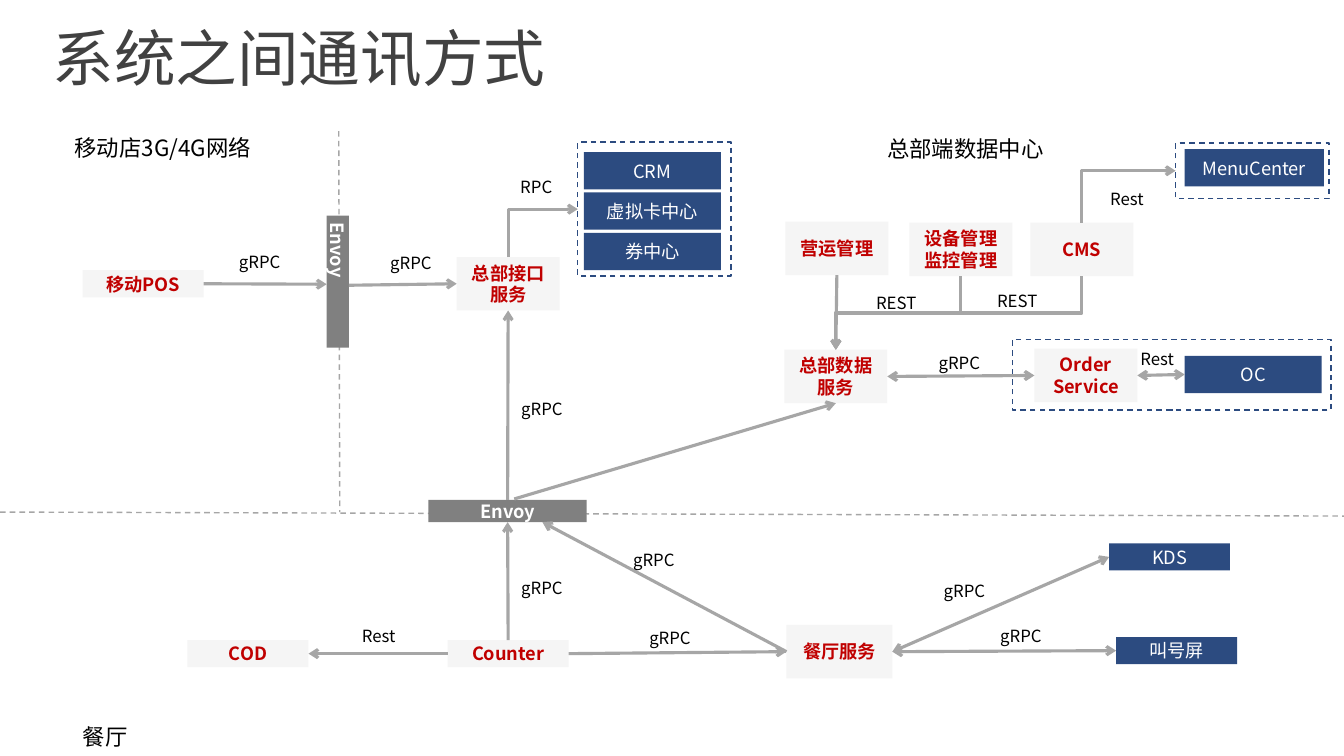
from lxml import etree
from pptx import Presentation
from pptx.dml.color import RGBColor
from pptx.enum.dml import MSO_LINE
from pptx.enum.shapes import MSO_CONNECTOR, MSO_SHAPE
from pptx.enum.text import MSO_ANCHOR, PP_ALIGN
from pptx.oxml.ns import qn
from pptx.util import Pt

PX = 9144  # 100 px to the inch
FONT = "Noto Sans CJK SC"
RECT, DASH = MSO_SHAPE.RECTANGLE, MSO_LINE.DASH
STRAIGHT, ELBOW = MSO_CONNECTOR.STRAIGHT, MSO_CONNECTOR.ELBOW
MIDDLE, TOP_ANCHOR = MSO_ANCHOR.MIDDLE, MSO_ANCHOR.TOP
LEFT_ALIGN, CENTER = PP_ALIGN.LEFT, PP_ALIGN.CENTER
TOP, LEFT, BOTTOM, RIGHT = range(4)
GRAY, NAVY = "A6A6A6", "2C4B80"

TITLE = "系统之间通讯方式"
DIVIDERS = [((0, 508), (1333, 512)), ((336, 130), (337, 508))]
ZONES = [("餐厅", 69, 710, 72), ("移动店3G/4G网络", 61, 126, 208),
         ("总部端数据中心", 867, 127, 184)]

# style: fill, text colour, bold
STYLES = {"service": ("F5F5F5", "C00000", True),
          "system": (NAVY, "FFFFFF", False),
          "proxy": ("808080", "FFFFFF", True)}
# key: text, style, left, top, width, height
NODES = {
    "restaurant": ("餐厅服务", "service", 780, 620, 105, 53),
    "menu": ("MenuCenter", "system", 1175, 148, 138, 37),
    "oc": ("OC", "system", 1175, 353, 136, 37),
    "store proxy": ("Envoy", "proxy", 324, 214, 22, 131),
    "hq proxy": ("Envoy", "proxy", 425, 496, 157, 22),
    "data": ("总部数据服务", "service", 778, 347, 102, 53),
    "operations": ("营运管理", "service", 779, 220, 102, 53),
    "devices": ("设备管理\n监控管理", "service", 902, 221, 102, 53),
    "cms": ("CMS", "service", 1022, 221, 102, 53),
    "kds": ("KDS", "system", 1100, 539, 120, 27),
    "queue": ("叫号屏", "system", 1107, 632, 120, 27),
    "api": ("总部接口服务", "service", 453, 255, 102, 53),
    "counter": ("Counter", "service", 444, 635, 120, 27),
    "pos": ("移动POS", "service", 82, 268, 120, 27),
    "order": ("Order Service", "service", 1026, 346, 102, 53),
    "cod": ("COD", "service", 186, 635, 120, 27),
}
STACK = ["CRM", "虚拟卡中心", "券中心"]
STACK_LEFT, STACK_TOP, STACK_STEP, STACK_W, STACK_H = 579, 151, 40, 136, 37
GROUPS = {"crm group": (573, 141, 152, 133), "menu group": (1166, 142, 152, 55),
          "order group": (1004, 337, 316, 70)}

# ends are (node, side) or a free point; True means arrows at both ends
LINKS = [
    (("operations", BOTTOM), ("data", TOP), False),
    (("pos", RIGHT), (324, 282), False),
    ((346, 283), ("api", LEFT), False),
    (("counter", RIGHT), ("restaurant", LEFT), False),
    (("restaurant", RIGHT), ("queue", LEFT), True),
    (("restaurant", RIGHT), ("kds", LEFT), True),
    (("hq proxy", TOP), ("api", BOTTOM), False),
    (("counter", TOP), ("hq proxy", BOTTOM), False),
    (("data", RIGHT), ("order", LEFT), True),
    (("order", RIGHT), ("oc", LEFT), True),
    (("counter", LEFT), ("cod", RIGHT), False),
    (("restaurant", LEFT), (538, 518), False),
    ((510, 495), ("data", BOTTOM), False),
]
ELBOWS = [
    (("devices", BOTTOM), ("data", TOP), "bentConnector3"),
    (("cms", BOTTOM), ("data", TOP), "bentConnector3"),
    (("api", TOP), ("crm group", LEFT), "bentConnector2"),
    (("cms", TOP), ("menu group", LEFT), "bentConnector2"),
]
LABEL_WIDTHS = {"gRPC": 70, "RPC": 59, "Rest": 62, "REST": 67}
LABELS = [
    ("gRPC", 918, 343), ("gRPC", 224, 243), ("gRPC", 374, 244), ("gRPC", 504, 389),
    ("gRPC", 504, 566), ("gRPC", 631, 616), ("gRPC", 923, 569), ("gRPC", 979, 614),
    ("gRPC", 615, 538), ("RPC", 503, 168), ("Rest", 1088, 180), ("Rest", 1118, 339),
    ("Rest", 346, 614), ("REST", 856, 283), ("REST", 976, 281),
]


def rgb(color):
    return RGBColor.from_string(color)


def emu(*lengths):
    return [round(n * PX) for n in lengths]


def write(sp, text, size, color, bold=False, align=LEFT_ALIGN, anchor=TOP_ANCHOR, inset=7):
    tf = sp.text_frame
    tf.word_wrap = True
    tf.vertical_anchor = anchor
    tf.margin_left = tf.margin_right = 13 * PX
    tf.margin_top = tf.margin_bottom = inset * PX
    tf.text = text
    for p in tf.paragraphs:
        p.alignment = align
        for r in p.runs:
            r.font.size, r.font.bold, r.font.name = Pt(size), bold, FONT
            r.font.color.rgb = rgb(color)
            etree.SubElement(r.font._element, qn("a:ea"), typeface=FONT)
    return tf


def add_text(shapes, box, text, size, color="000000", **options):
    return write(shapes.add_textbox(*emu(*box)), text, size, color, **options)


def add_node(shapes, text, style, *box):
    fill, color, bold = STYLES[style]
    sp = shapes.add_shape(RECT, *emu(*box))
    sp.shadow.inherit = False
    sp.fill.solid()
    sp.fill.fore_color.rgb = rgb(fill)
    sp.line.fill.background()
    tf = write(sp, text, 13, color, bold, CENTER, MIDDLE)
    if box[3] > box[2]:
        tf._txBody.bodyPr.set("vert", "eaVert")
        tf.paragraphs[0].alignment = LEFT_ALIGN
    return sp


def add_group_frame(shapes, box):
    sp = shapes.add_shape(RECT, *emu(*box))
    sp.shadow.inherit = False
    sp.fill.background()
    sp.line.color.rgb = rgb(NAVY)
    sp.line.width, sp.line.dash_style = Pt(1), DASH
    return sp


def style_line(line, width, dash=None, arrows=()):
    line.line.color.rgb = rgb(GRAY)
    line.line.width = Pt(width)
    if dash:
        line.line.dash_style = dash
    for end in arrows:
        etree.SubElement(line.line._get_or_add_ln(), qn(f"a:{end}"), type="arrow")
    etree.SubElement(line._element.spPr, qn("a:effectLst"))


def add_link(shapes, placed, start, end, kind=STRAIGHT):
    line = shapes.add_connector(kind, 0, 0, 0, 0)
    if start[0] in placed:
        line.begin_connect(placed[start[0]], start[1])
    else:
        line.begin_x, line.begin_y = emu(*start)
    if end[0] in placed:
        line.end_connect(placed[end[0]], end[1])
    else:
        line.end_x, line.end_y = emu(*end)
    return line


def turn_elbow(line, preset):
    """Rotate a quarter turn about the centre, so the elbow leaves vertically."""
    x1, y1, x2, y2 = line.begin_x, line.begin_y, line.end_x, line.end_y
    cx, cy, dx, dy = (x1 + x2) // 2, (y1 + y2) // 2, x2 - x1, y2 - y1
    line.begin_x, line.begin_y = cx - dy // 2, cy + dx // 2
    line.end_x, line.end_y = cx + dy // 2, cy - dx // 2
    spPr = line._element.spPr
    spPr.find(qn("a:xfrm")).set("rot", "5400000")
    spPr.find(qn("a:prstGeom")).set("prst", preset)


def main():
    prs = Presentation()
    prs.slide_width, prs.slide_height = emu(1333, 750)
    shapes = prs.slides.add_slide(prs.slide_layouts[6]).shapes

    tf = add_text(shapes, (39, 8, 1028, 107), TITLE, 44, "414141", anchor=MIDDLE, inset=0)
    tf.paragraphs[0].line_spacing = 0.9
    for start, end in DIVIDERS:
        style_line(add_link(shapes, {}, start, end), 1, DASH)
    for text, x, y, w in ZONES:
        add_text(shapes, (x, y, w, 40), text, 16)

    placed = {key: add_group_frame(shapes, box) for key, box in GROUPS.items()}
    placed.update({key: add_node(shapes, *node) for key, node in NODES.items()})
    for i, text in enumerate(STACK):
        add_node(shapes, text, "system", STACK_LEFT, STACK_TOP + i * STACK_STEP,
                 STACK_W, STACK_H)

    for start, end, both in LINKS:
        arrows = ("headEnd", "tailEnd") if both else ("tailEnd",)
        style_line(add_link(shapes, placed, start, end), 2.25, arrows=arrows)
    for start, end, preset in ELBOWS:
        line = add_link(shapes, placed, start, end, ELBOW)
        turn_elbow(line, preset)
        style_line(line, 2.25, arrows=("tailEnd",))
    for text, x, y in LABELS:
        add_text(shapes, (x, y, LABEL_WIDTHS[text], 34), text, 12)

    prs.save("out.pptx")


if __name__ == "__main__":
    main()
